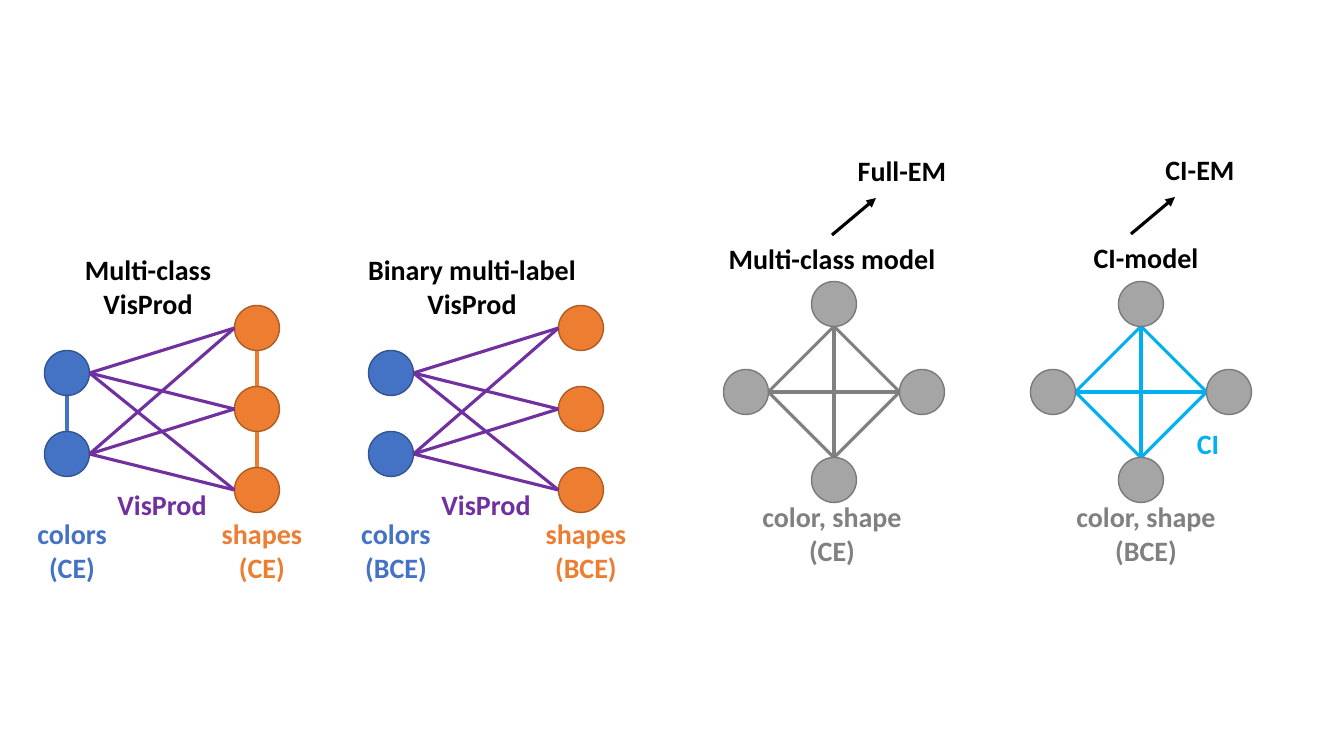
import pptx
import pptx.util
import pptx.dml.color
import pptx.enum.shapes
import pptx.enum.text
import pptx.oxml
import pptx.oxml.ns
import itertools

RGB = pptx.dml.color.RGBColor
KIND = pptx.enum.shapes.MSO_SHAPE
BLACK = RGB(0, 0, 0)
BLUE, NAVY = RGB(0x44, 0x72, 0xC4), RGB(0x32, 0x54, 0x91)
ORANGE, RUST = RGB(0xED, 0x7D, 0x31), RGB(0xAF, 0x5C, 0x24)
GREY, SLATE, DIM = RGB(0xA5, 0xA5, 0xA5), RGB(0x7A, 0x7A, 0x7A), RGB(0x80, 0x80, 0x80)
PURPLE, CYAN = RGB(0x70, 0x30, 0xA0), RGB(0, 0xB0, 0xF0)
FONT = {"name": "Calibri", "size": pptx.util.Pt(20), "bold": True}

# Content: lines of text, centre, top, width, colour
LABELS = [
    (["color, shape", "(CE)"], 832, 495, 161, DIM),
    (["Multi-class model"], 832, 237, 229, BLACK),
    (["Full-EM"], 902, 149, 110, BLACK),
    (["color, shape", "(BCE)"], 1146, 495, 161, DIM),
    (["CI-model"], 1146, 236, 126, BLACK),
    (["CI-EM"], 1200, 148, 90, BLACK),
    (["CI"], 1208, 422, 43, CYAN),
]
# Two-column graphs: offset, title, title width, loss, nodes linked in a column
PAIRS = [
    (0, "Multi-class", 148, "(CE)", True),
    (324, "Binary multi-label", 230, "(BCE)", False),
]
COLORS, SHAPES = (373, 454), (328, 409, 490)
# Diamond graphs: centre, edge colour, arrow start
RINGS = [(834, DIM, (832, 235)), (1141, CYAN, (1131, 234))]
MID, REACH, SIDE = 392, 88, 93
DIAM, RAD = 45, 22.5

UNIT = 914400 / 100.8


def px(*vals):
    return [round(v * UNIT) for v in vals]


deck = pptx.Presentation()
deck.slide_width, deck.slide_height = px(1344, 756)
slide = deck.slides.add_slide(deck.slide_layouts[6])


def label(lines, mid, top, width, color):
    box = slide.shapes.add_textbox(*px(mid - width / 2, top, width, 10 + 34 * len(lines)))
    frame = box.text_frame
    frame.word_wrap = False
    frame.auto_size = pptx.enum.text.MSO_AUTO_SIZE.SHAPE_TO_FIT_TEXT
    frame.text = "\n".join(lines)
    for para in frame.paragraphs:
        para.alignment = pptx.enum.text.PP_ALIGN.CENTER
        for key, val in FONT.items():
            setattr(para.font, key, val)
        para.font.color.rgb = color


def node(x, y, fill, edge):
    dot = slide.shapes.add_shape(KIND.OVAL, *px(x - RAD, y - RAD, DIAM, DIAM))
    dot.shadow.inherit = False
    dot.fill.solid()
    dot.fill.fore_color.rgb = fill
    dot.line.color.rgb = edge
    dot.line.width = pptx.util.Pt(1)


def edge(start, end, color, width=2.25, arrow=False):
    link = slide.shapes.add_connector(
        pptx.enum.shapes.MSO_CONNECTOR.STRAIGHT, *px(*start, *end))
    link.line.color.rgb = color
    link.line.width = pptx.util.Pt(width)
    if arrow:
        tip = pptx.oxml.ns.qn("a:tailEnd")
        link.line._get_or_add_ln().append(link._element.makeelement(tip, {"type": "triangle"}))
    props = link._element.spPr
    props.append(props.makeelement(pptx.oxml.ns.qn("a:effectLst"), {}))


# Two-column graphs
for dx, title, width, loss, linked in PAIRS:
    left, right = 67 + dx, 257 + dx
    for x, rows, fill, rim in ((left, COLORS, BLUE, NAVY), (right, SHAPES, ORANGE, RUST)):
        if linked:
            edge((x, rows[0] + RAD), (x, rows[-1] - RAD), fill, 3)
        for y in rows:
            node(x, y, fill, rim)
    for a, b in itertools.product(COLORS, SHAPES):
        edge((left + RAD, a), (right - RAD, b), PURPLE)
    label([title, "VisProd"], 148 + dx, 248, width, BLACK)
    label(["VisProd"], 162 + dx, 483, 111, PURPLE)
    label(["colors", loss], 72 + dx, 512, 91, BLUE)
    label(["shapes", loss], 262 + dx, 512, 102, ORANGE)

# Diamond graphs
for mid, color, (x, y) in RINGS:
    ring = slide.shapes.add_shape(
        KIND.RECTANGLE, *px(mid - SIDE / 2, MID - SIDE / 2, SIDE, SIDE))
    ring.rotation = 45
    ring.shadow.inherit = False
    ring.fill.background()
    ring.line.color.rgb = color
    ring.line.width = pptx.util.Pt(2.25)
    for h, v in ((1, 0), (0, 1)):
        dx, dy = h * (REACH - RAD), v * (REACH - RAD)
        edge((mid - dx, MID - dy), (mid + dx, MID + dy), color)
        for sign in (-1, 1):
            node(mid + sign * h * REACH, MID + sign * v * REACH, GREY, SLATE)
    edge((x, y), (x + 44, y - 37), BLACK, arrow=True)

# Labels of the diamond graphs
for item in LABELS:
    label(*item)

deck.save("out.pptx")
